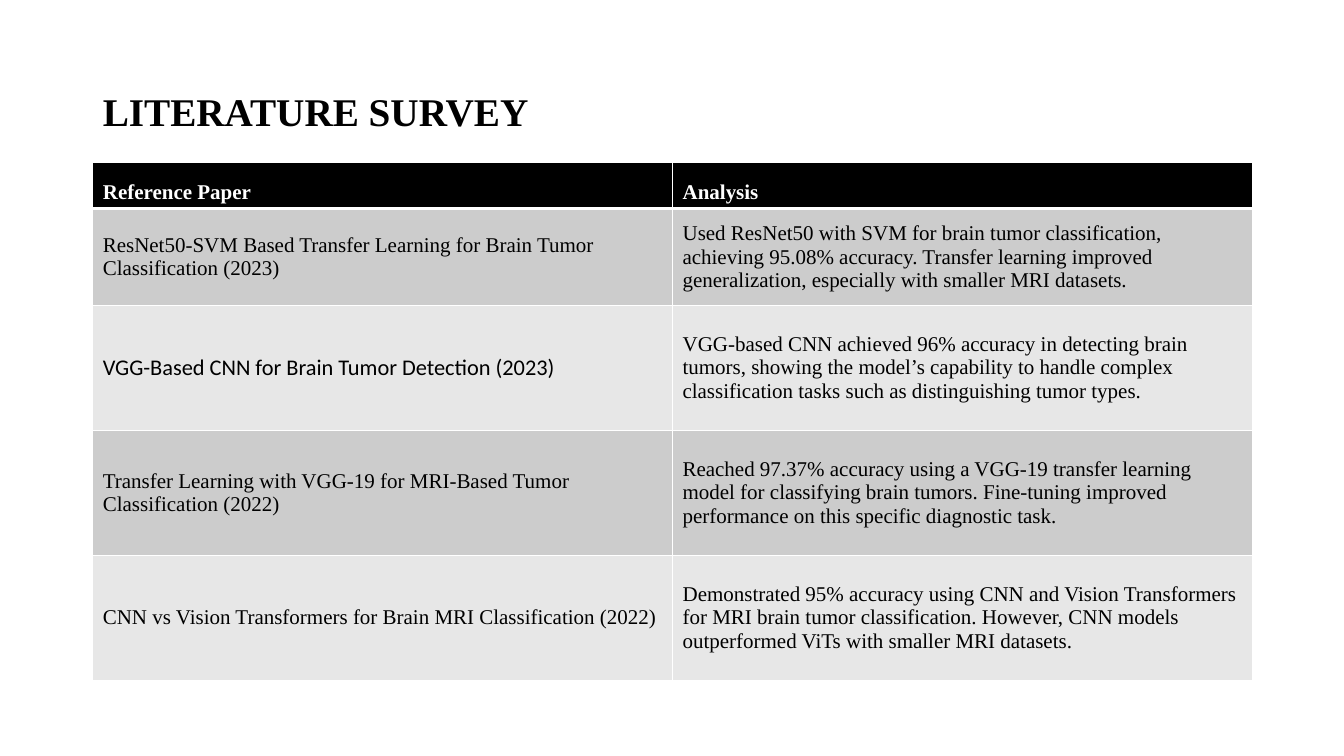
from dataclasses import dataclass

from lxml import etree
from pptx import Presentation
from pptx.dml.color import RGBColor
from pptx.enum.text import MSO_ANCHOR, PP_ALIGN
from pptx.oxml.ns import qn
from pptx.util import Inches, Pt

MIDDLE = MSO_ANCHOR.MIDDLE
BOTTOM = MSO_ANCHOR.BOTTOM
LEFT = PP_ALIGN.LEFT
TITLE_ONLY = 5

HEADINGS = ("Reference Paper", "Analysis")
PAPERS = (
    ("ResNet50-SVM Based Transfer Learning for Brain Tumor Classification (2023)",
     "Used ResNet50 with SVM for brain tumor classification, achieving 95.08% accuracy. "
     "Transfer learning improved generalization, especially with smaller MRI datasets."),
    ("VGG-Based CNN for Brain Tumor Detection (2023)",
     "VGG-based CNN achieved 96% accuracy in detecting brain tumors, showing the model’s "
     "capability to handle complex classification tasks such as distinguishing tumor types."),
    ("Transfer Learning with VGG-19 for MRI-Based Tumor Classification (2022)",
     "Reached 97.37% accuracy using a VGG-19 transfer learning model for classifying brain "
     "tumors. Fine-tuning improved performance on this specific diagnostic task."),
    ("CNN vs Vision Transformers for Brain MRI Classification (2022)",
     "Demonstrated 95% accuracy using CNN and Vision Transformers for MRI brain tumor "
     "classification. However, CNN models outperformed ViTs with smaller MRI datasets."),
)
COLUMN_WIDTHS = (5.75, 5.75)
ROW_HEIGHTS = (0.46, 0.96, 1.24, 1.24, 1.24)
CALIBRI_CELL = (2, 0)


@dataclass(frozen=True)
class Theme:
    font: str = "Times New Roman"
    alternate_font: str = "Calibri"
    text: str = "000000"
    header_text: str = "FFFFFF"
    header_fill: str = "000000"
    band_fills: tuple = ("CCCCCC", "E7E7E7")
    border: str = "FFFFFF"
    title_size: int = 28
    body_size: int = 15
    alternate_size: int = 16
    border_width: int = 1
    header_rule_width: int = 3


class SlideBuilder:
    def __init__(self, slide, theme):
        self.slide = slide
        self.theme = theme

    def format_text(self, text_frame, size, color, bold=False, font=None):
        for paragraph in text_frame.paragraphs:
            paragraph.alignment = LEFT
            for run in paragraph.runs:
                run.font.name = font or self.theme.font
                run.font.size = Pt(size)
                run.font.bold = bold
                run.font.color.rgb = RGBColor.from_string(color)

    def add_title(self, text, left, top, width, height):
        title = self.slide.shapes.title
        title.left, title.top = Inches(left), Inches(top)
        title.width, title.height = Inches(width), Inches(height)
        text_frame = title.text_frame
        text_frame.text = text
        text_frame.word_wrap = True
        text_frame.vertical_anchor = MIDDLE
        text_frame.paragraphs[0].line_spacing = 0.9
        self.format_text(text_frame, self.theme.title_size, self.theme.text, bold=True)

    def add_borders(self, cell, top_width, bottom_width):
        properties = cell._tc.get_or_add_tcPr()
        side_width = self.theme.border_width
        widths = {"a:lnL": side_width, "a:lnR": side_width,
                  "a:lnT": top_width, "a:lnB": bottom_width}
        for tag, width in widths.items():
            line = etree.SubElement(properties, qn(tag), w=str(Pt(width)))
            fill = etree.SubElement(line, qn("a:solidFill"))
            etree.SubElement(fill, qn("a:srgbClr"), val=self.theme.border)

    def format_cell(self, cell, row, column):
        theme = self.theme
        is_header = row == 0
        top_width = theme.header_rule_width if row == 1 else theme.border_width
        bottom_width = theme.header_rule_width if is_header else theme.border_width
        self.add_borders(cell, top_width, bottom_width)
        fill_color = theme.header_fill if is_header else theme.band_fills[(row - 1) % 2]
        cell.fill.solid()
        cell.fill.fore_color.rgb = RGBColor.from_string(fill_color)
        cell.vertical_anchor = BOTTOM if is_header else MIDDLE
        is_alternate = (row, column) == CALIBRI_CELL
        self.format_text(
            cell.text_frame,
            theme.alternate_size if is_alternate else theme.body_size,
            theme.header_text if is_header else theme.text,
            bold=is_header,
            font=theme.alternate_font if is_alternate else theme.font,
        )

    def add_table(self, rows, left, top, column_widths, row_heights):
        table = self.slide.shapes.add_table(
            len(rows), len(column_widths), Inches(left), Inches(top),
            Inches(sum(column_widths)), Inches(sum(row_heights))).table
        for column, width in zip(table.columns, column_widths):
            column.width = Inches(width)
        for row, height in zip(table.rows, row_heights):
            row.height = Inches(height)
        for row_index, texts in enumerate(rows):
            for column_index, text in enumerate(texts):
                cell = table.cell(row_index, column_index)
                cell.text_frame.text = text
                self.format_cell(cell, row_index, column_index)


def main():
    presentation = Presentation()
    presentation.slide_width = Inches(13.33)
    presentation.slide_height = Inches(7.5)
    slide = presentation.slides.add_slide(presentation.slide_layouts[TITLE_ONLY])
    builder = SlideBuilder(slide, Theme())
    builder.add_title("LITERATURE SURVEY", 0.92, 0.4, 11.5, 1.45)
    builder.add_table((HEADINGS, *PAPERS), 0.92, 1.61, COLUMN_WIDTHS, ROW_HEIGHTS)
    presentation.save("out.pptx")


if __name__ == "__main__":
    main()
